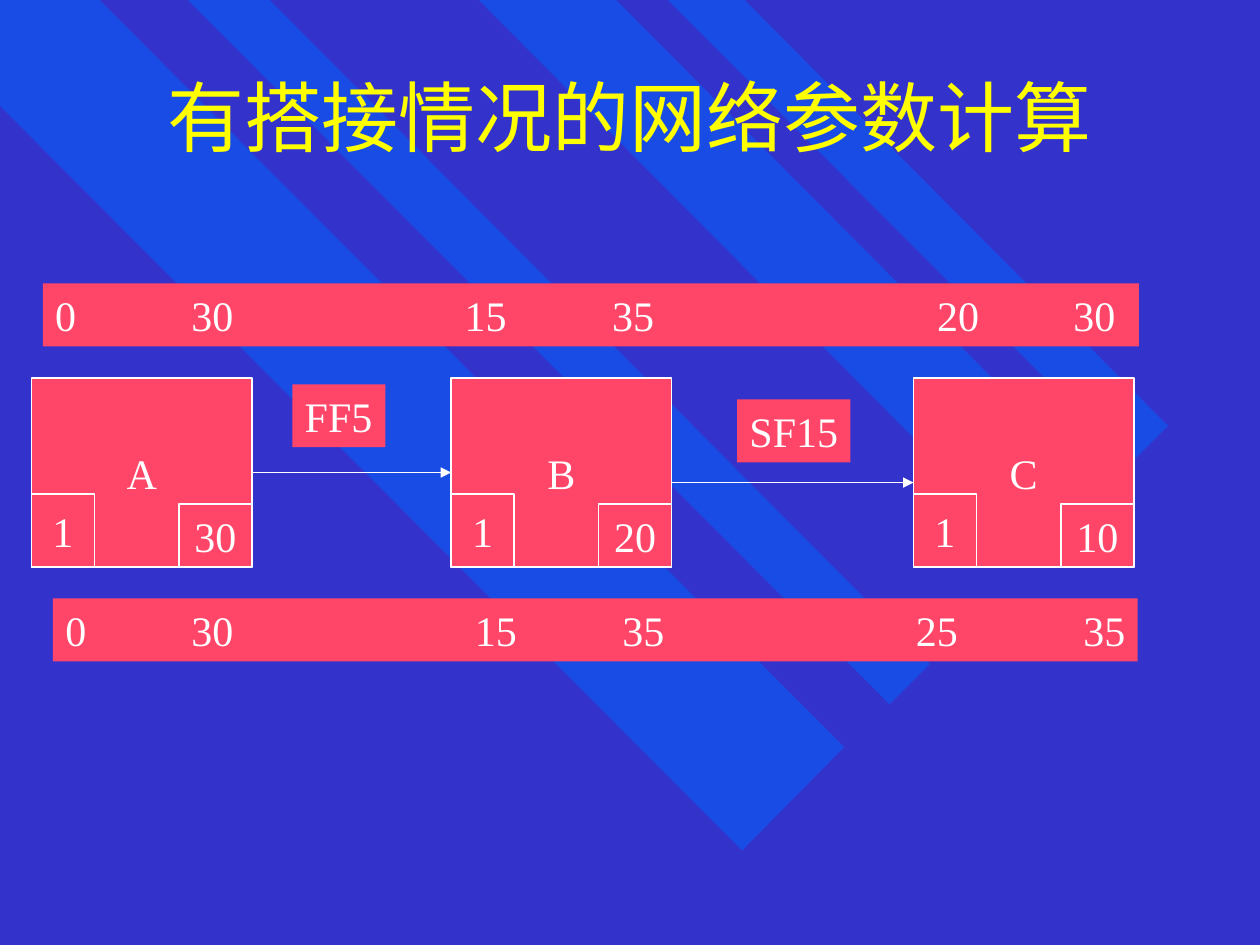
from lxml import etree
from pptx import Presentation
from pptx.dml.color import RGBColor
from pptx.enum import shapes, text
from pptx.oxml import ns
from pptx.util import Inches, Pt

BACKGROUND = RGBColor(0x33, 0x33, 0xCC)
STRIPE = RGBColor(0x00, 0x66, 0xFF)
RED = RGBColor(0xFF, 0x45, 0x68)
WHITE = RGBColor(0xFF, 0xFF, 0xFF)
YELLOW = RGBColor(0xFF, 0xFF, 0x00)
FONT = "Times New Roman"

presentation = Presentation()
presentation.slide_width, presentation.slide_height = Inches(10), Inches(7.5)
slide = presentation.slides.add_slide(presentation.slide_layouts[6])
slide.background.fill.solid()
slide.background.fill.fore_color.rgb = BACKGROUND


def add_box(words, left, top, width, height, outlined=False, tab_stops=()):
    shape = slide.shapes.add_shape(
        shapes.MSO_SHAPE.RECTANGLE, Inches(left), Inches(top), Inches(width), Inches(height))
    shape.shadow.inherit = False
    shape.fill.solid()
    shape.fill.fore_color.rgb = RED
    if outlined:
        shape.line.color.rgb = WHITE
        shape.line.width = Pt(1)
    else:
        shape.line.fill.background()
    frame = shape.text_frame
    frame.word_wrap = bool(tab_stops)
    frame.vertical_anchor = text.MSO_ANCHOR.MIDDLE if outlined else text.MSO_ANCHOR.TOP
    paragraph = frame.paragraphs[0]
    paragraph.alignment = text.PP_ALIGN.CENTER if outlined else text.PP_ALIGN.LEFT
    if tab_stops:
        frame.margin_right = 0
        tab_list = etree.SubElement(paragraph._p.get_or_add_pPr(), ns.qn("a:tabLst"))
        for stop in tab_stops:
            etree.SubElement(tab_list, ns.qn("a:tab"), pos=str(Inches(stop)), algn="l")
    paragraph.text = words
    paragraph.font.name, paragraph.font.size = FONT, Pt(24)
    paragraph.font.color.rgb = WHITE


# Translucent diagonal stripes
stripes = [
    [(6.7, 5.93), (0.79, 0), (0, 0), (0, 0.84), (5.89, 6.75)],
    [(2.14, 0), (7.38, 5.27), (7.06, 5.59), (1.49, 0)],
    [(4.89, 0), (8.76, 3.89), (8.21, 4.44), (3.8, 0)],
    [(5.3, 0), (8.97, 3.68), (9.27, 3.38), (5.91, 0)],
]
for corners in stripes:
    points = [(Inches(x), Inches(y)) for x, y in corners]
    builder = slide.shapes.build_freeform(*points[0])
    builder.add_line_segments(points[1:], close=True)
    stripe = builder.convert_to_shape()
    stripe.shadow.inherit = False
    stripe.fill.solid()
    stripe.fill.fore_color.rgb = STRIPE
    stripe.line.fill.background()
    color = stripe._element.spPr.find(".//" + ns.qn("a:srgbClr"))
    etree.SubElement(color, ns.qn("a:alpha"), val="50000")

# Title
title = slide.shapes.add_textbox(Inches(0.75), Inches(0.25), Inches(8.5), Inches(1.33))
title.text_frame.word_wrap = True
title.text_frame.vertical_anchor = text.MSO_ANCHOR.MIDDLE
paragraph = title.text_frame.paragraphs[0]
paragraph.text = "有搭接情况的网络参数计算"
paragraph.alignment = text.PP_ALIGN.CENTER
paragraph.font.name, paragraph.font.size = FONT, Pt(44)
paragraph.font.color.rgb = YELLOW

# Activities, each with a number at lower left and a duration at lower right
for name, duration, left in [("A", "30", 0.25), ("B", "20", 3.58), ("C", "10", 7.25)]:
    add_box(name, left, 3, 1.75, 1.5, outlined=True)
    add_box("1", left, 3.92, 0.5, 0.58, outlined=True)
    add_box(duration, left + 1.17, 4, 0.58, 0.5, outlined=True)

# Arrows between activities
for start, end, y in [(2, 3.58, 3.75), (5.33, 7.25, 3.83)]:
    arrow = slide.shapes.add_connector(
        shapes.MSO_CONNECTOR.STRAIGHT, Inches(start), Inches(y), Inches(end), Inches(y))
    arrow.line.color.rgb = WHITE
    arrow.line.width = Pt(1)
    etree.SubElement(arrow.line._get_or_add_ln(), ns.qn("a:tailEnd"), type="triangle")
    etree.SubElement(arrow._element.spPr, ns.qn("a:effectLst"))

# Overlap labels
add_box("FF5", 2.32, 3.05, 0.74, 0.5)
add_box("SF15", 5.85, 3.17, 0.9, 0.5)

# Early times above, late times below
add_box("0\t30\t15\t35\t20\t30", 0.34, 2.25, 8.7, 0.5,
        tab_stops=(1.08, 3.25, 4.42, 7, 8.08))
add_box("0\t30\t15\t35\t25\t35", 0.42, 4.75, 8.61, 0.5,
        tab_stops=(1, 3.25, 4.42, 6.75, 8.08))

presentation.save("out.pptx")
